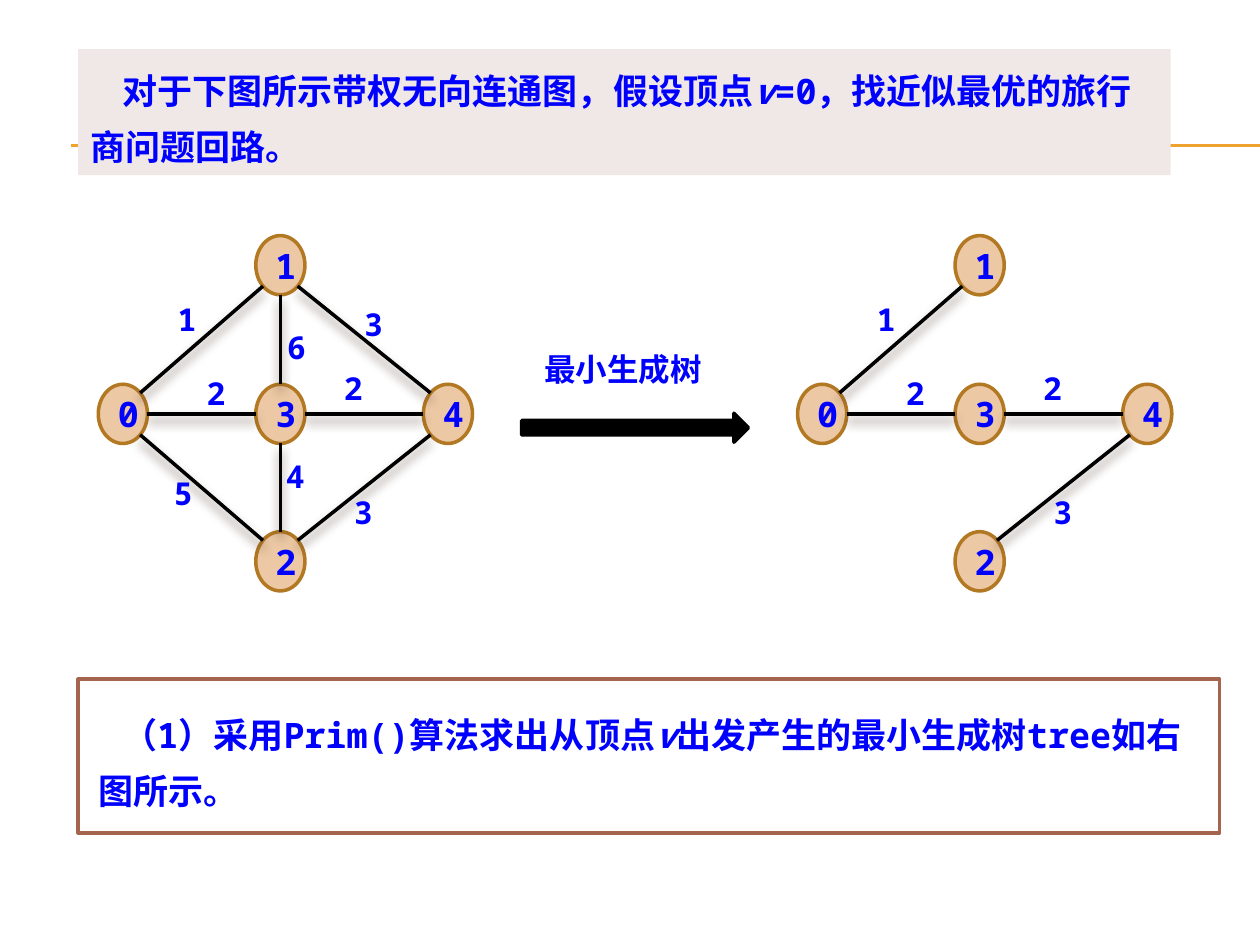
from lxml import etree
from pptx import Presentation
from pptx.dml.color import RGBColor
from pptx.enum.lang import MSO_LANGUAGE_ID
from pptx.enum.shapes import MSO_CONNECTOR, MSO_SHAPE
from pptx.enum.text import MSO_ANCHOR, MSO_AUTO_SIZE, PP_ALIGN
from pptx.oxml import parse_xml
from pptx.oxml.ns import nsdecls, qn
from pptx.util import Inches, Pt

STRAIGHT = MSO_CONNECTOR.STRAIGHT
ELLIPSE, RECTANGLE, ARROW = MSO_SHAPE.OVAL, MSO_SHAPE.RECTANGLE, MSO_SHAPE.RIGHT_ARROW
LEFT, CENTER = PP_ALIGN.LEFT, PP_ALIGN.CENTER
TOP, MIDDLE = MSO_ANCHOR.TOP, MSO_ANCHOR.MIDDLE
GROW = MSO_AUTO_SIZE.SHAPE_TO_FIT_TEXT
CHINESE = MSO_LANGUAGE_ID.SIMPLIFIED_CHINESE

FONT = "Noto Sans Mono"
BLUE, BLACK, WHITE = "0000FF", "000000", "FFFFFF"
PALE, BROWN, GOLD = "F0E8E6", "A5644E", "F0A22E"
NODE_FILL, NODE_LINE, SHADOW = "ECC8A4", "B27822", "4E3B30"

QUESTION = [
    ("对于下图所示带权无向连通图，假设顶点", False),
    ("v", True),
    ("=0，找近似最优的旅行商问题回路。", False),
]
STEP = [
    ("（1）采用Prim()算法求出从顶点", False),
    ("v", True),
    ("出发产生的最小生成树tree如右图所示。", False),
]
ARROW_LABEL = [("最小生成树", False)]

NODES = {0: (0.78, 3.05), 1: (2.03, 1.87), 3: (2.03, 3.05), 2: (2.03, 4.22), 4: (3.36, 3.05)}
NODE_WIDTH, NODE_HEIGHT = 0.39, 0.47
EDGES = {
    (0, 1): ("1", 1.41, 2.38),
    (0, 3): ("2", 1.64, 2.97),
    (0, 2): ("5", 1.38, 3.76),
    (3, 2): ("4", 2.27, 3.63),
    (1, 3): ("6", 2.28, 2.60),
    (1, 4): ("3", 2.89, 2.42),
    (3, 4): ("2", 2.73, 2.93),
    (4, 2): ("3", 2.81, 3.91),
}
TREE = [(0, 1), (0, 3), (3, 4), (4, 2)]
TREE_OFFSET = 5.55


def color(value):
    return RGBColor.from_string(value)


def box(*lengths):
    return [Inches(length) for length in lengths]


def paint(shape, fill, line=None):
    shape.shadow.inherit = False
    shape.fill.solid()
    shape.fill.fore_color.rgb = color(fill)
    if line:
        shape.line.color.rgb = color(line)
        shape.line.width = Pt(2)
    else:
        shape.line.fill.background()


def write(shape, runs, size, align=LEFT, anchor=TOP, insets=(0.1, 0.05, 0.1, 0.05),
          grow=True, spacing=None, indent=0):
    frame = shape.text_frame
    frame.word_wrap = True
    frame.vertical_anchor = anchor
    frame.margin_left, frame.margin_top, frame.margin_right, frame.margin_bottom = box(*insets)
    if grow:
        frame.auto_size = GROW
    paragraph = frame.paragraphs[0]
    paragraph.alignment = align
    if spacing:
        paragraph.line_spacing = Pt(spacing)
    if indent:
        paragraph._p.get_or_add_pPr().set("indent", str(Inches(indent)))
    for text, italic in runs:
        run = paragraph.add_run()
        run.text = text
        font = run.font
        font.name, font.size, font.bold, font.italic = FONT, Pt(size), True, italic
        font.color.rgb = color(BLUE)
        font.language_id = CHINESE


def add_line(shapes, start, end, line, width, shadow=False):
    connector = shapes.add_connector(STRAIGHT, *box(*start, *end))
    connector.line.color.rgb = color(line)
    connector.line.width = Pt(width)
    effects = etree.SubElement(connector.element.spPr, qn("a:effectLst"))
    if shadow:
        effects.append(parse_xml(
            f'<a:outerShdw {nsdecls("a")} blurRad="{Pt(6)}" dist="{Pt(4)}" dir="5400000" '
            f'rotWithShape="0"><a:srgbClr val="{SHADOW}"><a:alpha val="60000"/>'
            "</a:srgbClr></a:outerShdw>"))
    return connector


def rim_point(node, toward):
    left, top = NODES[node]
    across, down = ((b > a) - (b < a) for a, b in zip(NODES[node], NODES[toward]))
    reach = 0.5 ** 0.5 if across and down else 1
    return (left + NODE_WIDTH / 2 * (1 + across * reach),
            top + NODE_HEIGHT / 2 * (1 + down * reach))


def add_graph(slide, edges, offset):
    shapes = slide.shapes.add_group_shape().shapes
    for name, (left, top) in NODES.items():
        node = shapes.add_shape(ELLIPSE, *box(left + offset, top, NODE_WIDTH, NODE_HEIGHT))
        paint(node, NODE_FILL, NODE_LINE)
        write(node, [(str(name), False)], 20, CENTER, MIDDLE, grow=False)
    for start, end in edges:
        (x1, y1), (x2, y2) = rim_point(start, end), rim_point(end, start)
        add_line(shapes, (x1 + offset, y1), (x2 + offset, y2), BLACK, 2, shadow=True)
    for edge in edges:
        weight, left, top = EDGES[edge]
        label = shapes.add_textbox(*box(left + offset, top, 0.23, 0.35))
        write(label, [(weight, False)], 18, insets=(0, 0, 0, 0.05))


def main():
    presentation = Presentation()
    presentation.slide_width, presentation.slide_height = box(10, 7.5)
    slide = presentation.slides.add_slide(presentation.slide_layouts[5])
    shapes = slide.shapes

    title = shapes.title
    title.left, title.top, title.width, title.height = box(0.62, 0.39, 8.67, 1)
    title.fill.solid()
    title.fill.fore_color.rgb = color(PALE)
    write(title, QUESTION, 20, spacing=32, indent=0.25)
    for height in (1.15, 1.16):
        rule = add_line(shapes, (0.56, height), (10, height), GOLD, 0.75)
        title.element.addprevious(rule.element)

    add_graph(slide, EDGES, 0)

    step = shapes.add_shape(RECTANGLE, *box(0.62, 5.39, 9.06, 1.22))
    paint(step, WHITE, BROWN)
    write(step, STEP, 20, insets=(0.16, 0.16, 0.2, 0.16), spacing=32, indent=0.19)

    add_graph(slide, TREE, TREE_OFFSET)

    arrow = shapes.add_shape(ARROW, *box(4.14, 3.28, 1.8, 0.23))
    paint(arrow, BLACK, BLACK)
    write(shapes.add_textbox(*box(4.22, 2.73, 1.72, 0.4)), ARROW_LABEL, 18)

    presentation.save("out.pptx")


if __name__ == "__main__":
    main()
